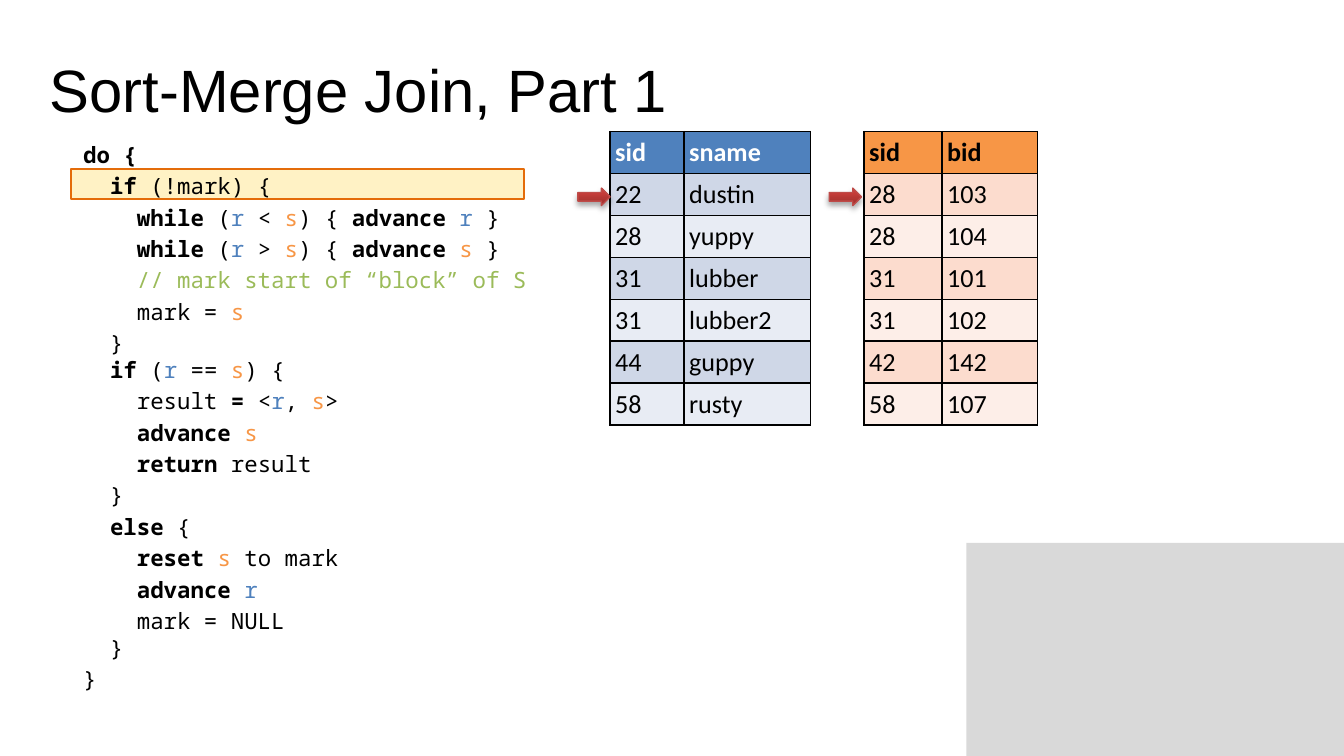
from itertools import groupby
from typing import Iterator, NamedTuple

from lxml.etree import SubElement
from pptx import Presentation
from pptx.dml.color import RGBColor
from pptx.enum.shapes import MSO_SHAPE as Preset
from pptx.enum.text import MSO_ANCHOR as Anchor, PP_ALIGN as Align
from pptx.oxml import parse_xml
from pptx.oxml.ns import nsdecls, qn
from pptx.util import Inches, Pt

BLACK = "000000"
BLUE = "4F81BD"
ORANGE = "F79646"
GREEN = "9BBB59"
KEYWORDS = {"do", "if", "while", "advance", "return", "else", "reset"}
VARIABLES = {"r": BLUE, "s": ORANGE}


class Relation(NamedTuple):
    left: float
    widths: tuple[float, ...]
    header_fill: str
    header_color: str
    bands: tuple[str, str]
    rows: list[tuple[str, ...]]


class CodeLine(NamedTuple):
    text: str
    bold: str = ""  # a phrase set in bold beyond the keywords


class Token(NamedTuple):
    text: str
    color: str = BLACK
    bold: bool = False


RELATIONS = [
    Relation(4.54, (0.55, 0.94), BLUE, "FFFFFF", ("CFD7E7", "E8ECF4"), [
        ("sid", "sname"), ("22", "dustin"), ("28", "yuppy"), ("31", "lubber"),
        ("31", "lubber2"), ("44", "guppy"), ("58", "rusty")]),
    Relation(6.43, (0.58, 0.71), ORANGE, BLACK, ("FCDCCE", "FDEEE8"), [
        ("sid", "bid"), ("28", "103"), ("28", "104"), ("31", "101"),
        ("31", "102"), ("42", "142"), ("58", "107")]),
]
ARROW_LEFTS = (4.3, 6.17)

CODE = [
    CodeLine("do {", bold="do {"),
    CodeLine("  if (!mark) {"),
    CodeLine("    while (r < s) { advance r }"),
    CodeLine("    while (r > s) { advance s }"),
    CodeLine("    // mark start of “block” of S"),
    CodeLine("    mark = s"),
    CodeLine("  }\n  if (r == s) {"),
    CodeLine("    result = <r, s>", bold=" ="),
    CodeLine("    advance s"),
    CodeLine("    return result"),
    CodeLine("  }"),
    CodeLine("  else {"),
    CodeLine("    reset s to mark"),
    CodeLine("    advance r"),
    CodeLine("    mark = NULL\n  }"),
    CodeLine("}"),
]


def rgb(color: str) -> RGBColor:
    return RGBColor.from_string(color)


def format_font(font, name: str, size: float, color: str, bold: bool = False) -> None:
    font.name = name
    font.size = Pt(size)
    font.bold = bold
    font.color.rgb = rgb(color)


def add_box(slide, left: float, top: float, width: float, height: float,
            fill: str, line: str = "") -> None:
    shape = slide.shapes.add_shape(
        Preset.RECTANGLE, Inches(left), Inches(top), Inches(width), Inches(height))
    shape.shadow.inherit = False
    shape.fill.solid()
    shape.fill.fore_color.rgb = rgb(fill)
    if line:
        shape.line.color.rgb = rgb(line)
        shape.line.width = Pt(1)
    else:
        shape.line.fill.background()


def add_row_arrow(slide, left: float) -> None:
    """Add the red arrow that points at the current row of a relation."""
    shape = slide.shapes.add_shape(
        Preset.RIGHT_ARROW, Inches(left), Inches(1.4), Inches(0.24), Inches(0.13))
    shape.fill.gradient()
    shape.fill.gradient_angle = 90
    stops = zip(shape.fill.gradient_stops, (("9A2F2C", 0), ("CA3E3A", 0.8)))
    for stop, (color, position) in stops:
        stop.color.rgb = rgb(color)
        stop.position = position
    shape.line.color.rgb = rgb("BE4B48")
    shape.line.width = Pt(0.75)
    shape.shadow.inherit = False
    effects = shape.element.spPr.find(qn("a:effectLst"))
    shadow = SubElement(effects, qn("a:outerShdw"), blurRad=str(Pt(3)),
                        dist=str(Pt(1.8)), dir="5400000", rotWithShape="0")
    color = SubElement(shadow, qn("a:srgbClr"), val=BLACK)
    SubElement(color, qn("a:alpha"), val="35000")


def set_borders(cell) -> None:
    properties = cell._tc.get_or_add_tcPr()
    for index, side in enumerate(("lnL", "lnR", "lnT", "lnB")):
        properties.insert(index, parse_xml(
            f'<a:{side} {nsdecls("a")} w="{Pt(1)}"><a:solidFill>'
            f'<a:srgbClr val="{BLACK}"/></a:solidFill></a:{side}>'))


def add_relation(slide, relation: Relation) -> None:
    row_height = 0.31
    row_count = len(relation.rows)
    table = slide.shapes.add_table(
        row_count, len(relation.widths), Inches(relation.left), Inches(0.98),
        Inches(sum(relation.widths)), Inches(row_height * row_count)).table
    for column, width in zip(table.columns, relation.widths):
        column.width = Inches(width)
    for row_index, values in enumerate(relation.rows):
        table.rows[row_index].height = Inches(row_height)
        is_header = row_index == 0
        fill = relation.header_fill if is_header else relation.bands[(row_index - 1) % 2]
        color = relation.header_color if is_header else BLACK
        for column_index, value in enumerate(values):
            cell = table.cell(row_index, column_index)
            cell.margin_left = cell.margin_right = Pt(2.7)
            cell.margin_top = cell.margin_bottom = Pt(2.7)
            cell.fill.solid()
            cell.fill.fore_color.rgb = rgb(fill)
            set_borders(cell)
            cell.text_frame.text = value
            font = cell.text_frame.paragraphs[0].runs[0].font
            format_font(font, "Calibri", 14, color, is_header)


def highlight(text: str) -> Iterator[Token]:
    """Split code into coloured words and the symbols between them."""
    if text.lstrip().startswith("//"):
        yield Token(text, GREEN)
        return
    for _, letters in groupby(text, str.isalpha):
        word = "".join(letters)
        yield Token(word, VARIABLES.get(word, BLACK), word in KEYWORDS)


def tokenize(line: CodeLine, text: str) -> Iterator[Token]:
    if not line.bold:
        yield from highlight(text)
        return
    before, phrase, after = text.partition(line.bold)
    yield from highlight(before)
    yield Token(phrase, bold=True)
    yield from highlight(after)


def add_code(slide) -> None:
    box = slide.shapes.add_textbox(Inches(0.52), Inches(1), Inches(9.48), Inches(2.86))
    text_frame = box.text_frame
    text_frame.word_wrap = True
    for index, line in enumerate(CODE):
        paragraph = text_frame.add_paragraph() if index else text_frame.paragraphs[0]
        paragraph.space_before = Pt(2.4 if index else 0)
        for part_index, part in enumerate(line.text.split("\n")):
            if part_index:
                paragraph.add_line_break()
            for token in tokenize(line, part):
                run = paragraph.add_run()
                run.text = token.text
                format_font(run.font, "Noto Sans Mono", 12, token.color, token.bold)


def set_title(slide, text: str) -> None:
    title = slide.shapes.title
    title.left, title.top = Inches(0.27), Inches(0.34)
    title.width, title.height = Inches(8.23), Inches(1.25)
    title.text_frame.text = text
    title.text_frame.vertical_anchor = Anchor.TOP
    paragraph = title.text_frame.paragraphs[0]
    paragraph.alignment = Align.LEFT
    format_font(paragraph.runs[0].font, "Arial", 32, BLACK)


def main() -> None:
    presentation = Presentation()
    presentation.slide_width = Inches(10)
    presentation.slide_height = Inches(10 * 9 / 16)
    slide = presentation.slides.add_slide(presentation.slide_layouts[5])
    set_title(slide, "Sort-Merge Join, Part 1")
    add_box(slide, 7.19, 4.04, 2.81, 1.59, "D9D9D9")
    add_box(slide, 0.53, 1.26, 3.37, 0.22, "FFF2C5", "E46C0A")
    for relation in RELATIONS:
        add_relation(slide, relation)
    for left in ARROW_LEFTS:
        add_row_arrow(slide, left)
    add_code(slide)
    presentation.save("out.pptx")


if __name__ == "__main__":
    main()
